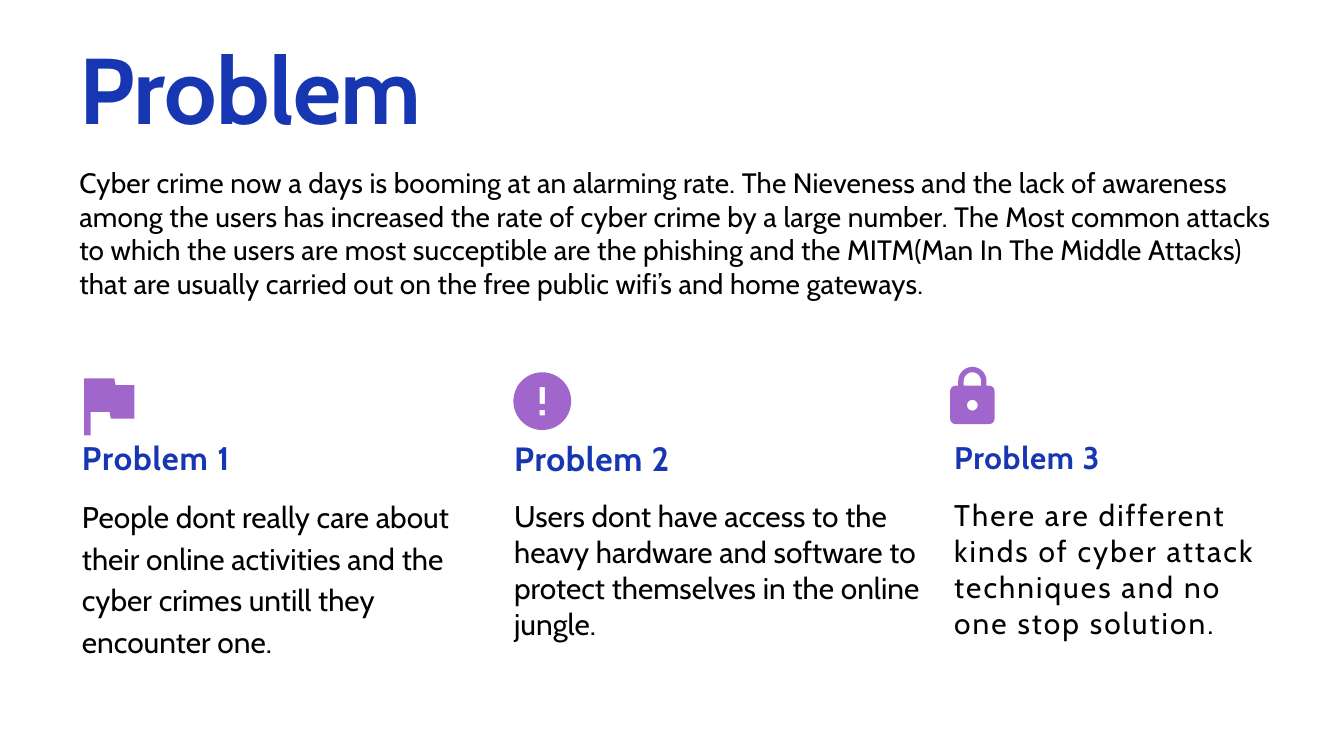
from dataclasses import dataclass
from math import cos, radians, sin

from pptx import Presentation
from pptx.dml.color import RGBColor
from pptx.enum.text import MSO_AUTO_SIZE
from pptx.util import Inches, Pt

FIT_SHAPE = MSO_AUTO_SIZE.SHAPE_TO_FIT_TEXT
BLUE = RGBColor(0x17, 0x36, 0xB1)
BLACK = RGBColor(0, 0, 0)
PURPLE = RGBColor(0xA0, 0x66, 0xCB)
FONT = "Cabin"

Point = tuple[float, float]
Contour = list[Point]


@dataclass
class Run:
    text: str
    spacing: float = 0


@dataclass
class Para:
    runs: list[Run]
    size: float
    heading: bool = False
    before: float = 0
    line_spacing: float = 1


@dataclass
class Box:
    left: float
    top: float
    width: float
    height: float
    inset: float
    paras: list[Para]


def add_box(s, box: Box) -> None:
    sp = s.shapes.add_textbox(
        Inches(box.left), Inches(box.top), Inches(box.width), Inches(box.height)
    )
    tf = sp.text_frame
    frame_format = {
        "word_wrap": True,
        "auto_size": FIT_SHAPE,
        "margin_left": 0,
        "margin_top": Inches(box.inset),
        "margin_right": 0,
        "margin_bottom": 0,
    }
    for name, value in frame_format.items():
        setattr(tf, name, value)
    for i, para in enumerate(box.paras):
        p = tf.add_paragraph() if i else tf.paragraphs[0]
        p.space_before = Pt(para.before)
        p.line_spacing = para.line_spacing
        p._p.get_or_add_pPr().set("marL", str(Inches(0.01)))
        for run in para.runs:
            r = p.add_run()
            r.text = run.text
            font_format = {"name": FONT, "size": Pt(para.size), "bold": para.heading}
            for name, value in font_format.items():
                setattr(r.font, name, value)
            r.font.color.rgb = BLUE if para.heading else BLACK
            r._r.get_or_add_rPr().set("spc", str(round(run.spacing * 100)))


def arc(cx: float, cy: float, radius: float, start: int, end: int, steps: int) -> Contour:
    angles = [radians(start + (end - start) * i / steps) for i in range(steps + 1)]
    return [(cx + radius * cos(a), cy + radius * sin(a)) for a in angles]


def rect(left: float, top: float, right: float, bottom: float) -> Contour:
    return [(left, top), (right, top), (right, bottom), (left, bottom)]


def rounded(left: float, top: float, right: float, bottom: float, radius: float) -> Contour:
    centres = rect(left + radius, top + radius, right - radius, bottom - radius)
    return [
        point
        for i, (cx, cy) in enumerate(centres)
        for point in arc(cx, cy, radius, 180 + 90 * i, 270 + 90 * i, 6)
    ]


def add_icon(s, contours: list[Contour]) -> None:
    paths = [[(Inches(x), Inches(y)) for x, y in contour] for contour in contours]
    builder = s.shapes.build_freeform(*paths[0][0])
    for i, path in enumerate(paths):
        if i:
            builder.move_to(*path[0])
        builder.add_line_segments(path[1:], close=True)
    sp = builder.convert_to_shape()
    sp.shadow.inherit = False
    sp.fill.solid()
    sp.fill.fore_color.rgb = PURPLE
    sp.line.fill.background()


BOXES = [
    Box(1.21, 6.18, 5.9, 3.66, 0.34, [
        Para([Run("Problem ", 1), Run("1", -4)], 35, True),
        Para([Run("People dont really care about their online activities and the "
                  "cyber crimes untill they encounter one.")], 32, False, 16.9, 1.16),
    ]),
    Box(7.64, 6.21, 6.08, 3.36, 0.3, [
        Para([Run("Problem ", 0.8), Run("2", -2.2)], 36, True),
        Para([Run("Users dont have access to the heavy hardware and software to "
                  "protect themselves in the online jungle.")], 32, False, 21.3),
    ]),
    Box(14.19, 6.21, 4.89, 3.35, 0.31, [
        Para([Run("Problem ", 0.8), Run("3", -2)], 33.5, True),
        Para([Run("There are different kinds of cyber attack techniques and no "
                  "one stop solution.", 2.2)], 32, False, 22.9),
    ]),
    Box(1.17, 0.46, 17.87, 4.55, 0.01, [
        Para([Run("Problem", -0.4)], 100, True),
        Para([Run("Cyber crime now a days is booming at an alarming rate. The Nieveness "
                  "and the lack of awareness among the users has increased the rate of "
                  "cyber crime by a large number. The Most common attacks to which the "
                  "users are most succeptible are the phishing and the MITM(Man In The "
                  "Middle Attacks) that are usually carried out on the free public "
                  "wifi’s and home gateways.", 0.2)], 30, False, 23.8),
    ]),
]

ALERT = [
    arc(8.07, 5.97, 0.43, 0, 360, 48),
    rect(8.03, 5.76, 8.11, 6.01),
    rect(8.03, 6.1, 8.11, 6.18),
]
FLAG = [[
    (1.25, 5.63), (1.7, 5.63), (1.72, 5.73), (2, 5.73), (2, 6.23), (1.65, 6.23),
    (1.63, 6.13), (1.35, 6.13), (1.35, 6.48), (1.25, 6.48),
]]
LOCK = [
    [(14.26, 5.74), *arc(14.47, 5.67, 0.21, 180, 360, 24), (14.68, 5.74),
     (14.6, 5.74), *arc(14.47, 5.67, 0.13, 360, 180, 24), (14.34, 5.74)],
    rounded(14.14, 5.74, 14.8, 6.31, 0.08),
    arc(14.47, 6.03, 0.08, 0, 360, 24),
]


def main() -> None:
    prs = Presentation()
    prs.slide_width, prs.slide_height = Inches(20), Inches(11.25)
    s = prs.slides.add_slide(prs.slide_layouts[6])
    for box in BOXES:
        add_box(s, box)
    for icon in (ALERT, FLAG, LOCK):
        add_icon(s, icon)
    prs.save("out.pptx")


if __name__ == "__main__":
    main()
